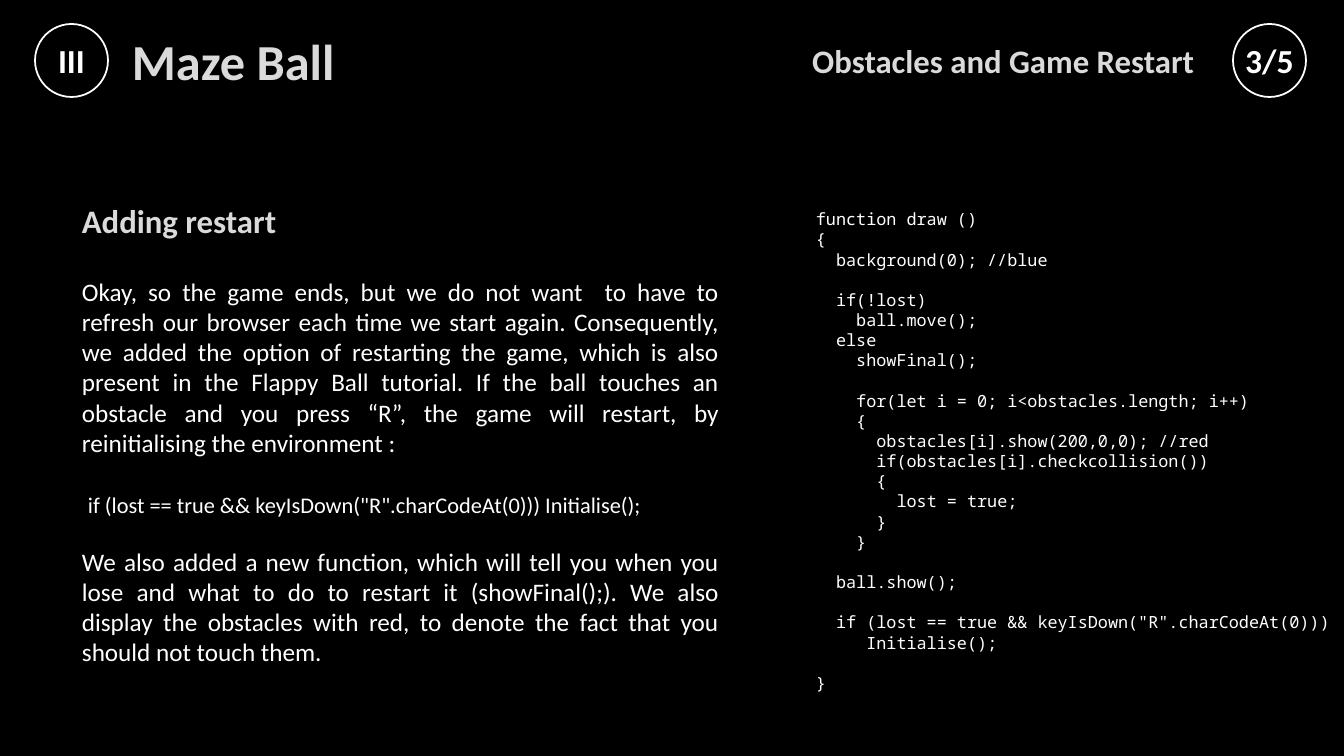
from pptx import Presentation
from pptx import util as u
from pptx.dml.color import RGBColor
from pptx.enum import shapes, text

PX = 12192000 / 1344
WHITE, GREY = "FFFFFF", "DADADA"


def color(code):
    return RGBColor.from_string(code)


def write(box, lines, look, align, anchor="TOP", pitch=None):
    """Fill a frame with (text, size, indent px, gap before in points) lines."""
    frame = box.text_frame
    frame.word_wrap = True
    frame.vertical_anchor = text.MSO_ANCHOR[anchor]
    for i, (words, size, indent, gap) in enumerate(lines):
        para = frame.add_paragraph() if i else frame.paragraphs[0]
        para.alignment = text.PP_ALIGN[align]
        para.space_before = u.Pt(gap)
        if pitch:
            para.line_spacing = u.Pt(pitch)
        if indent:
            para._p.get_or_add_pPr().set("marL", str(round(indent * PX)))
        run = para.add_run()
        run.text = words
        run.font.size = u.Pt(size)
        run.font.color.rgb = color(look["color"])
        for key in ("name", "bold"):
            setattr(run.font, key, look[key])


deck = Presentation()
deck.slide_width, deck.slide_height = round(1344 * PX), round(756 * PX)
slide = deck.slides.add_slide(deck.slide_layouts[6])
slide.background.fill.solid()
slide.background.fill.fore_color.rgb = color("000000")

body = {"name": "Calibri", "color": WHITE, "bold": False}
head = {"name": "Calibri", "color": GREY, "bold": True}
badge = {"name": "Calibri", "color": WHITE, "bold": True}
mono = {"name": "Noto Sans Mono", "color": WHITE, "bold": False}

# Explanation: the gaps stand before each paragraph
story = [
    ("Okay, so the game ends, but we do not want  to have to refresh our "
     "browser each time we start again. Consequently, we added the option of "
     "restarting the game, which is also present in the Flappy Ball tutorial. "
     "If the ball touches an obstacle and you press “R”, the game will "
     "restart, by reinitialising the environment :", 18, 0, 0),
    ('if (lost == true && keyIsDown("R".charCodeAt(0))) Initialise();',
     16, 6, 24),
    ("We also added a new function, which will tell you when you lose and what "
     "to do to restart it (showFinal();). We also display the obstacles with "
     "red, to denote the fact that you should not touch them.", 18, 0, 20),
]

# Code: (indent in characters, blank lines before, text)
code = [
    (0, 0, "function draw ()"),
    (0, 0, "{"),
    (2, 0, "background(0); //blue"),
    (2, 1, "if(!lost)"),
    (4, 0, "ball.move();"),
    (2, 0, "else"),
    (4, 0, "showFinal();"),
    (4, 1, "for(let i = 0; i<obstacles.length; i++)"),
    (4, 0, "{"),
    (6, 0, "obstacles[i].show(200,0,0); //red"),
    (6, 0, "if(obstacles[i].checkcollision())"),
    (6, 0, "{"),
    (8, 0, "lost = true;"),
    (6, 0, "}"),
    (4, 0, "}"),
    (2, 1, "ball.show();"),
    (2, 1, 'if (lost == true && keyIsDown("R".charCodeAt(0)))'),
    (5, 0, "Initialise();"),
    (0, 1, "}"),
]
CHAR, PITCH = 10.08, 14.4
listing = [(words, 12, chars * CHAR, blank * PITCH)
           for chars, blank, words in code]

# Text boxes
boxes = [
    ((72, 271, 657, 404), story, body, "JUSTIFY", "TOP", None),
    ((72, 176, 657, 89), [("Adding restart", 23.4, 0, 0)],
     head, "LEFT", "MIDDLE", None),
    ((806, 204, 538, 499), listing, mono, "LEFT", "TOP", PITCH),
    ((122, 34, 1040, 53), [("Maze Ball", 36, 0, 0)],
     head, "LEFT", "MIDDLE", None),
    ((651, 16, 553, 89), [("Obstacles and Game Restart", 23.4, 0, 0)],
     head, "RIGHT", "MIDDLE", None),
]
for place, *rest in boxes:
    write(slide.shapes.add_textbox(*(round(n * PX) for n in place)), *rest)

# Chapter and page badges
for left, label in ((35, "III"), (1233, "3/5")):
    ring = slide.shapes.add_shape(
        shapes.MSO_SHAPE.OVAL, *(round(n * PX) for n in (left, 24, 73, 73)))
    ring.shadow.inherit = False
    ring.fill.background()
    ring.line.color.rgb = color(WHITE)
    ring.line.width = u.Pt(1.25)
    for side in ("left", "top", "right", "bottom"):
        setattr(ring.text_frame, f"margin_{side}", 0)
    write(ring, [(label, 24, 0, 0)], badge, "CENTER", "MIDDLE")

deck.save("out.pptx")
